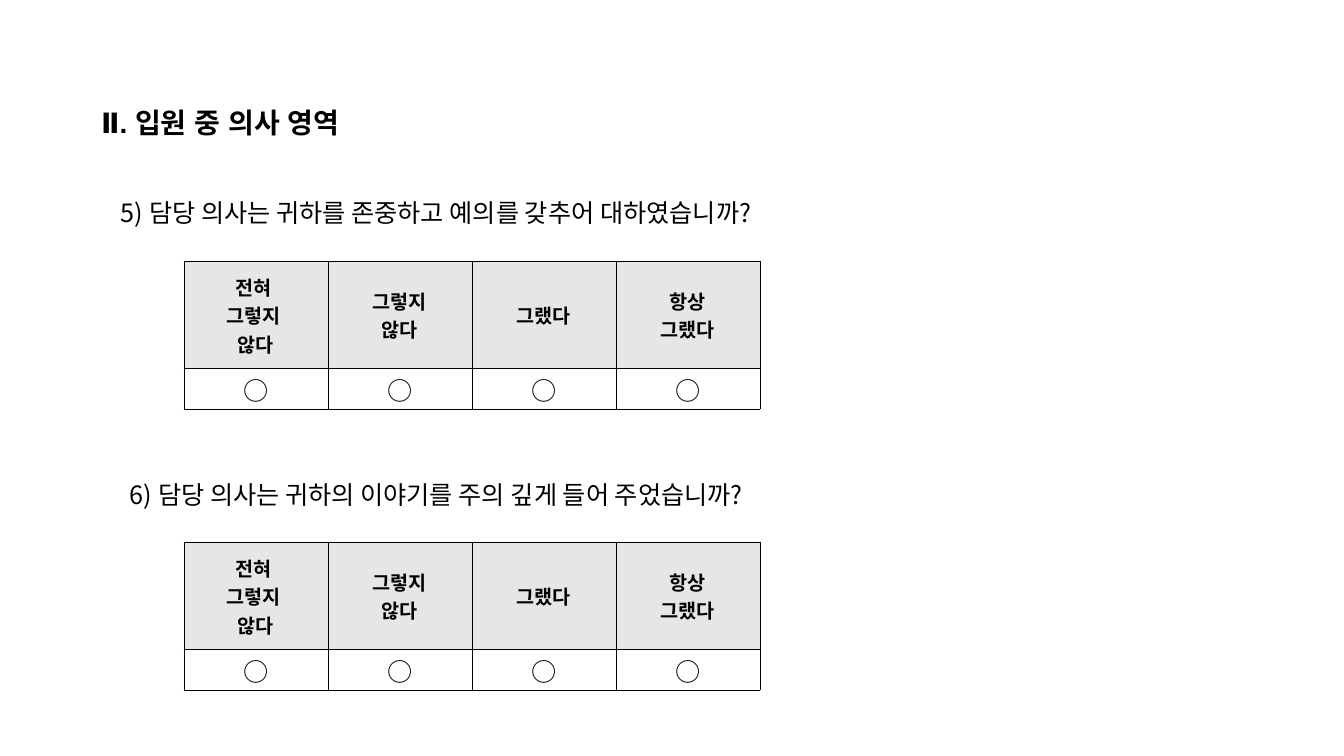
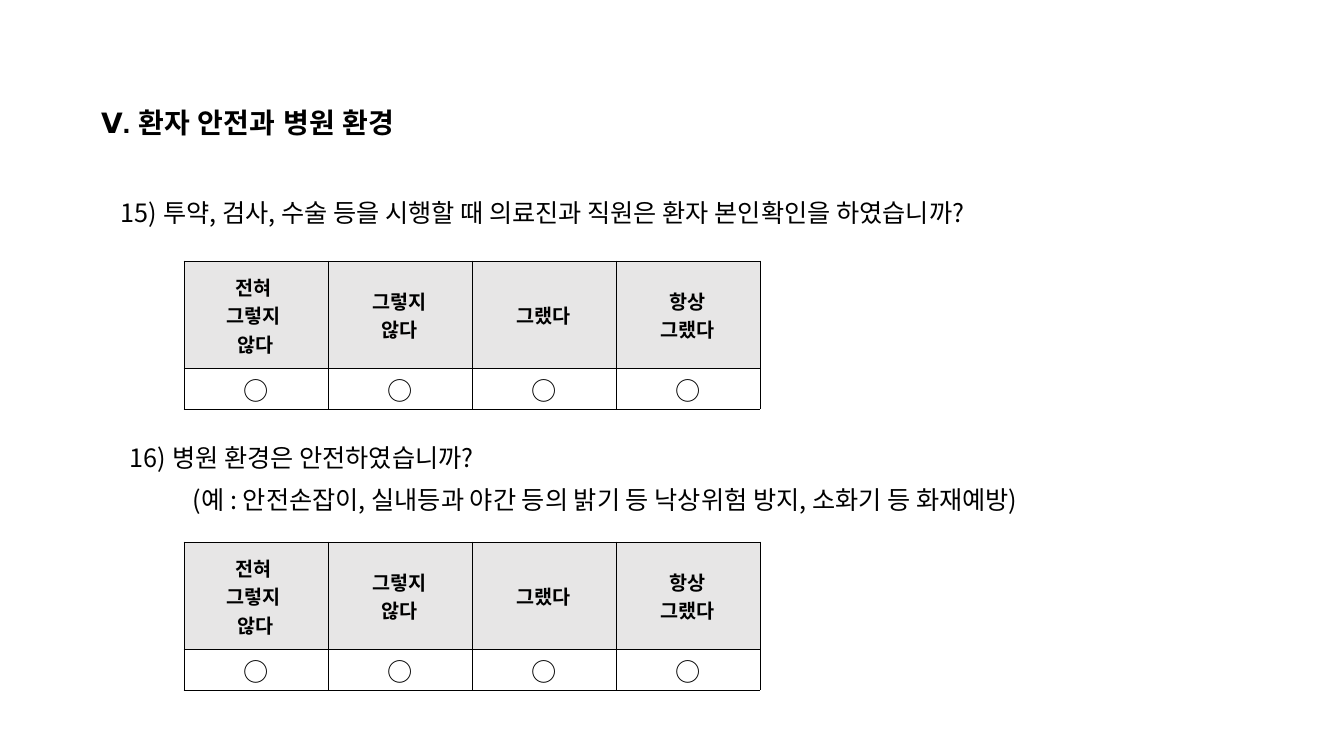
"""Build two patient survey slides, each with a section title and two rated questions."""
from lxml import etree
from pptx import Presentation
from pptx import util as u
from pptx.dml.color import RGBColor
from pptx.enum import text as t
from pptx.oxml.ns import qn

PX = 914400 / 100.8
COLORS = {"ink": "000000", "header": "E7E6E6", "answer": "FFFFFF"}
TITLE_FONT, BODY_FONT = "Arial", "Noto Sans CJK KR"
SCALE_LABELS = ["전혀 \n그렇지 \n않다", "그렇지\n않다", "그랬다", "항상\n그랬다"]
ANSWER_MARK = "○"
COLUMN_WIDTH, ROW_HEIGHTS = 144, [107, 41]
SCALE_LEFT, SCALE_TOPS = 184, [261, 542]
LINE_HEIGHT = 40

SECTIONS = [
    ("Ⅱ. 입원 중 의사 영역", 294, [
        ("5) 담당 의사는 귀하를 존중하고 예의를 갖추어 대하였습니까?", 111, 192, 728),
        ("6) 담당 의사는 귀하의 이야기를 주의 깊게 들어 주었습니까?", 120, 474, 711),
    ]),
    ("Ⅴ. 환자 안전과 병원 환경", 351, [
        ("15) 투약, 검사, 수술 등을 시행할 때 의료진과 직원은 환자 본인확인을 하였습니까?", 111, 192, 967),
        ("16) 병원 환경은 안전하였습니까?", 120, 437, 400),
        ("(예 : 안전손잡이, 실내등과 야간 등의 밝기 등 낙상위험 방지, 소화기 등 화재예방)", 183, 479, 942),
    ]),
]


def px(*lengths):
    return [u.Emu(round(length * PX)) for length in lengths]


def write(frame, wording, size, font=BODY_FONT, bold=False, align=t.PP_ALIGN.LEFT):
    paragraph = frame.paragraphs[0]
    paragraph.alignment = align
    for index, line in enumerate(wording.split("\n")):
        if index:
            paragraph.add_line_break()
        run = paragraph.add_run()
        run.text = line
        run.font.size = u.Pt(size)
        run.font.bold = bold
        run.font.name = font
        run.font.color.rgb = RGBColor.from_string(COLORS["ink"])
        etree.SubElement(run.font._element, qn("a:ea"), typeface=font)


prs = Presentation()
prs.slide_width, prs.slide_height = px(1344, 756)

for heading, heading_width, questions in SECTIONS:
    slide = prs.slides.add_slide(prs.slide_layouts[5])
    title = slide.shapes.title
    title.left, title.top, title.width, title.height = px(91, 100, heading_width, 44)
    title.text_frame.vertical_anchor = t.MSO_ANCHOR.TOP
    title.text_frame.word_wrap = False
    title.text_frame.auto_size = t.MSO_AUTO_SIZE.SHAPE_TO_FIT_TEXT
    write(title.text_frame, heading, 20, TITLE_FONT, True)

    for wording, left, top, width in questions:
        question = slide.shapes.add_textbox(*px(left, top, width, LINE_HEIGHT))
        question.text_frame.word_wrap = False
        question.text_frame.auto_size = t.MSO_AUTO_SIZE.SHAPE_TO_FIT_TEXT
        write(question.text_frame, wording, 18)

    for top in SCALE_TOPS:
        scale = slide.shapes.add_table(
            len(ROW_HEIGHTS), len(SCALE_LABELS),
            *px(SCALE_LEFT, top, COLUMN_WIDTH * len(SCALE_LABELS), sum(ROW_HEIGHTS))).table
        scale.horz_banding = False
        scale.first_row = False
        for column in scale.columns:
            column.width = px(COLUMN_WIDTH)[0]
        for row, height in zip(scale.rows, px(*ROW_HEIGHTS)):
            row.height = height
        for column_index, label in enumerate(SCALE_LABELS):
            for row_index, (wording, size, bold, fill) in enumerate([
                    (label, 14, True, "header"), (ANSWER_MARK, 18, False, "answer")]):
                cell = scale.cell(row_index, column_index)
                cell.vertical_anchor = t.MSO_ANCHOR.MIDDLE
                cell.margin_left, cell.margin_top, cell.margin_right, cell.margin_bottom = px(1, 1, 1, 0)
                properties = cell._tc.get_or_add_tcPr()
                for side in ("lnL", "lnR", "lnT", "lnB"):
                    border = etree.SubElement(properties, qn(f"a:{side}"), w=str(u.Pt(0.5)))
                    border_fill = etree.SubElement(border, qn("a:solidFill"))
                    etree.SubElement(border_fill, qn("a:srgbClr"), val=COLORS["ink"])
                cell.fill.solid()
                cell.fill.fore_color.rgb = RGBColor.from_string(COLORS[fill])
                write(cell.text_frame, wording, size, bold=bold, align=t.PP_ALIGN.CENTER)

prs.save("out.pptx")
